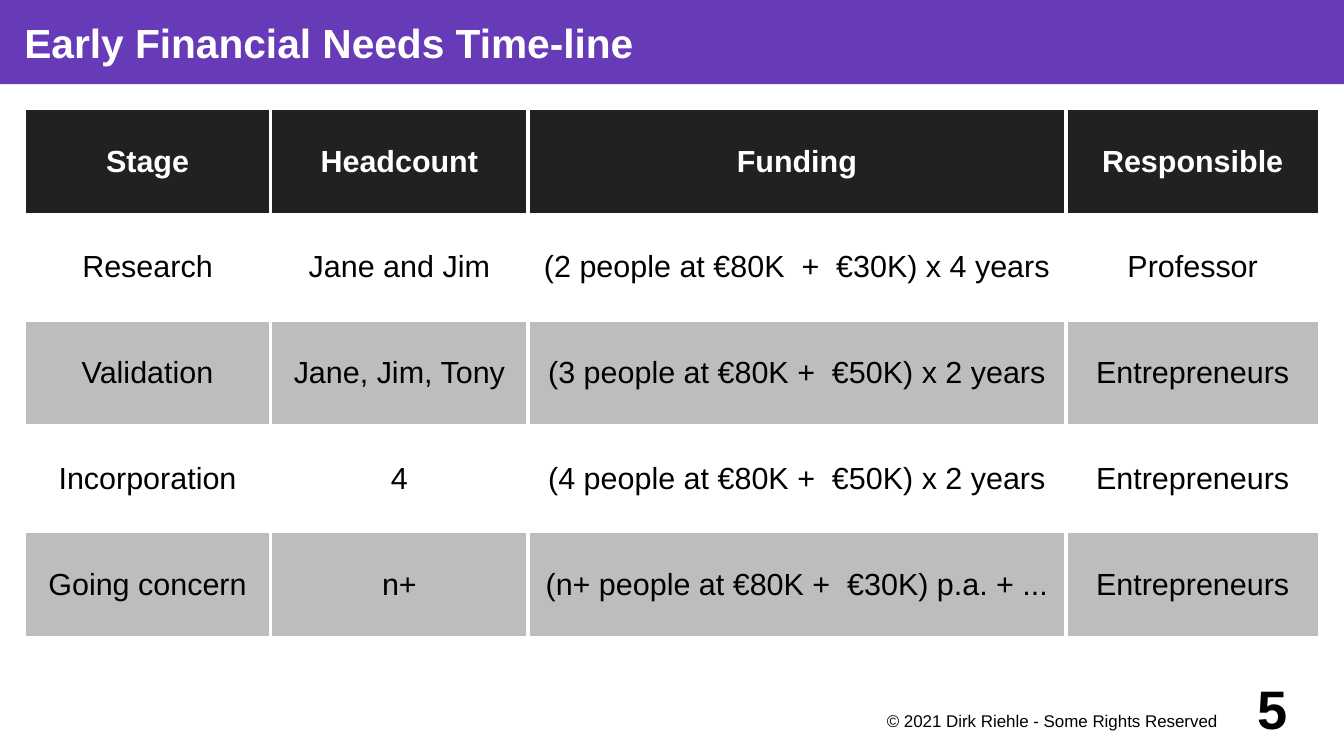
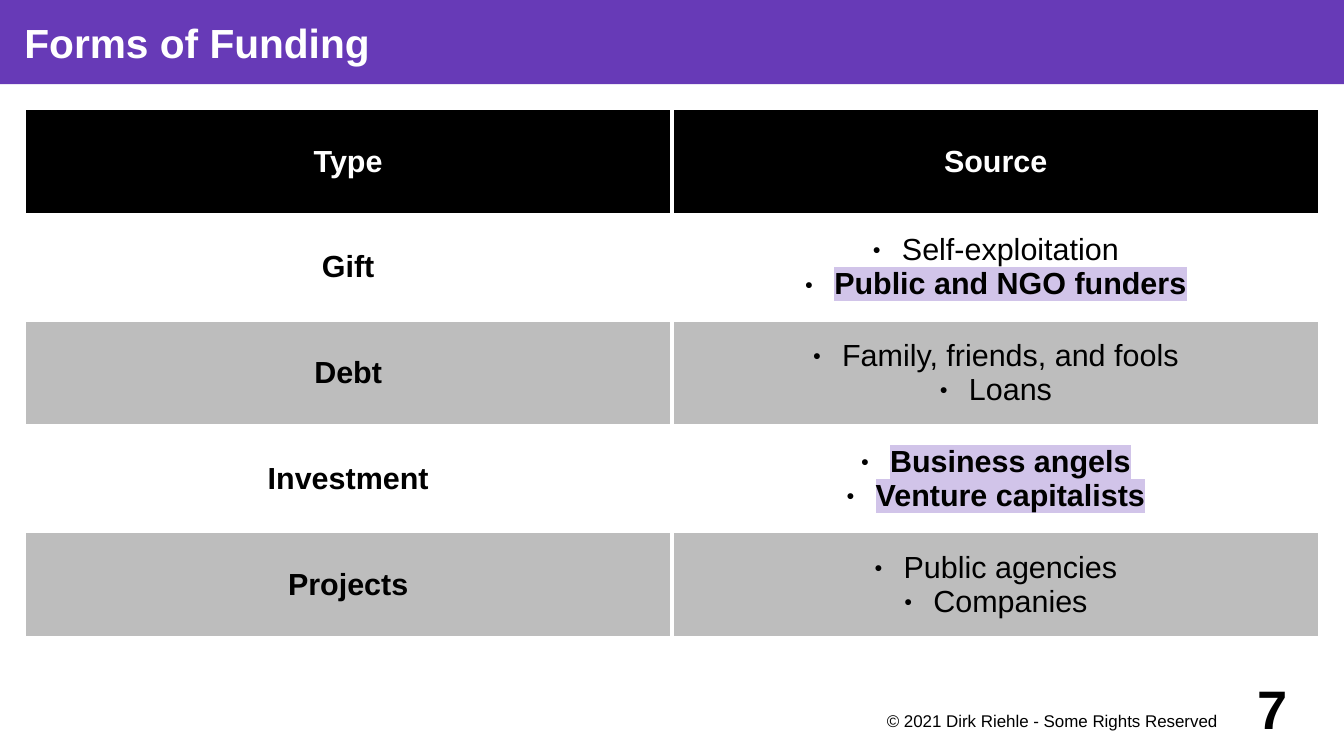
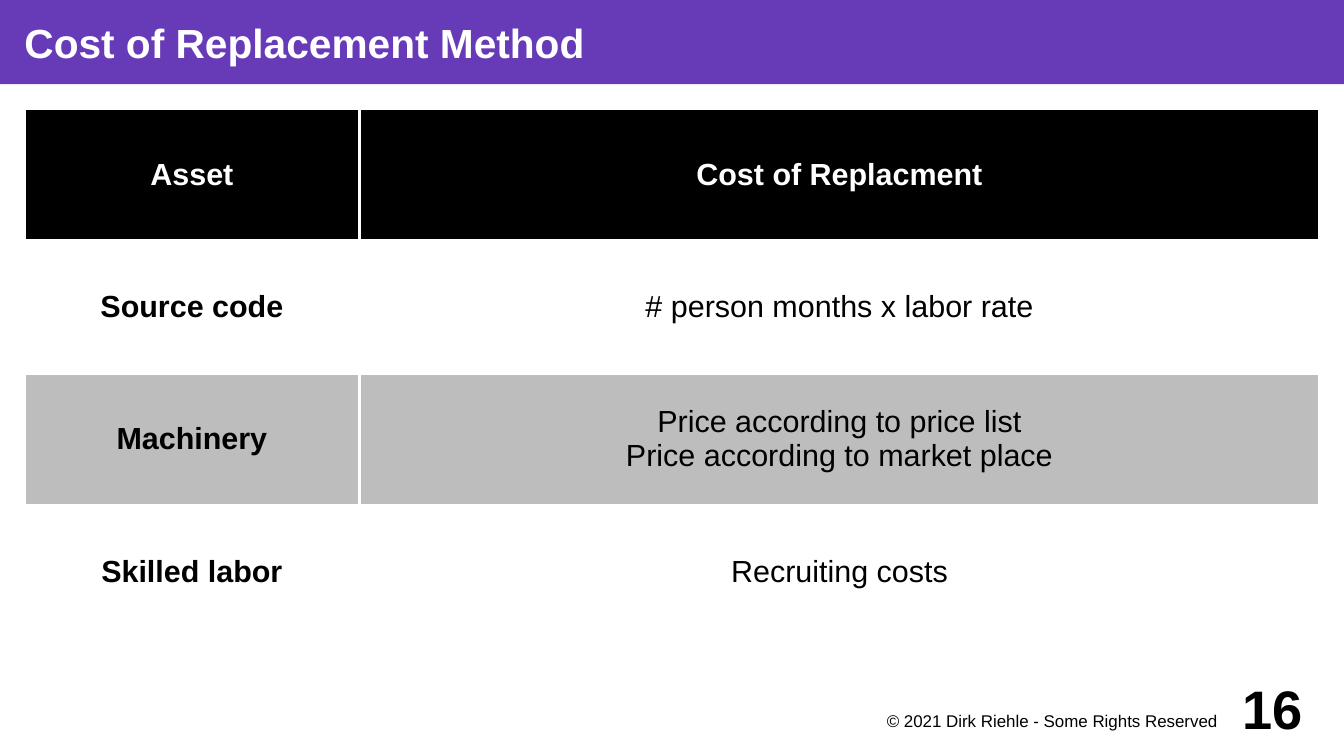
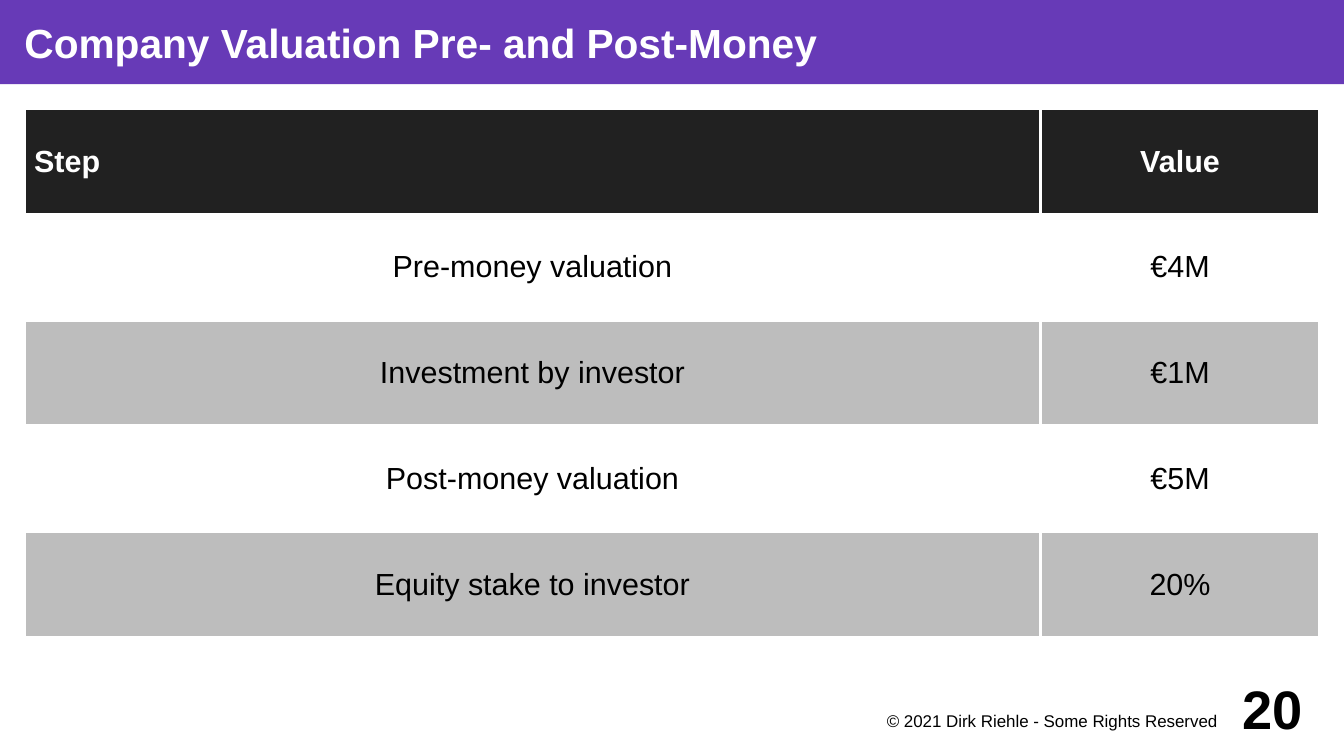
import dataclasses

import pptx
import pptx.dml.color
import pptx.enum.text
import pptx.oxml.ns
import pptx.util
from lxml import etree

Inches, Pt = pptx.util.Inches, pptx.util.Pt
RGBColor = pptx.dml.color.RGBColor
ALIGN, ANCHOR = pptx.enum.text.PP_ALIGN, pptx.enum.text.MSO_ANCHOR


@dataclasses.dataclass(frozen=True)
class Theme:
    font: str = "Arial"
    band: str = "673AB7"
    paper: str = "FFFFFF"
    ink: str = "000000"
    charcoal: str = "212121"
    stripe: str = "BDBDBD"
    marker: str = "D1C4E9"
    title_size: int = 24
    table_size: int = 18
    footer_size: int = 10
    number_size: int = 32
    border_width: float = 2.27


THEME = Theme()
WIDTH, HEIGHT = 11.02, 6.2
MARGIN = 0.2
BAND_HEIGHT = 0.69
TABLE_TOP = BAND_HEIGHT + MARGIN
TABLE_WIDTH = WIDTH - 2 * MARGIN
TABLE_HEIGHT = 0.7 * HEIGHT
BULLET_INDENT = 0.24

COPYRIGHT = "© 2021 Dirk Riehle - Some Rights Reserved"
HIGHLIGHTED = {"Public and NGO funders", "Business angels", "Venture capitalists"}

# A cell is one text or a list of paragraphs; columns are relative widths.
SLIDES = [
    {
        "number": 5,
        "title": "Early Financial Needs Time-line",
        "columns": (2.02, 2.11, 4.41, 2.08),
        "header_fill": THEME.charcoal,
        "rows": [
            ("Stage", "Headcount", "Funding", "Responsible"),
            ("Research", "Jane and Jim", "(2 people at €80K  +  €30K) x 4 years", "Professor"),
            ("Validation", "Jane, Jim, Tony", "(3 people at €80K +  €50K) x 2 years", "Entrepreneurs"),
            ("Incorporation", "4", "(4 people at €80K +  €50K) x 2 years", "Entrepreneurs"),
            ("Going concern", "n+", "(n+ people at €80K +  €30K) p.a. + ...", "Entrepreneurs"),
        ],
    },
    {
        "number": 7,
        "title": "Forms of Funding",
        "columns": (1, 1),
        "header_fill": THEME.ink,
        "bold_first_column": True,
        "bulleted_column": 1,
        "rows": [
            ("Type", "Source"),
            ("Gift", ["Self-exploitation", "Public and NGO funders"]),
            ("Debt", ["Family, friends, and fools", "Loans"]),
            ("Investment", ["Business angels", "Venture capitalists"]),
            ("Projects", ["Public agencies", "Companies"]),
        ],
    },
    {
        "number": 16,
        "title": "Cost of Replacement Method",
        "columns": (2.75, 7.88),
        "header_fill": THEME.ink,
        "bold_first_column": True,
        "rows": [
            ("Asset", "Cost of Replacment"),
            ("Source code", "# person months x labor rate"),
            ("Machinery", ["Price according to price list", "Price according to market place"]),
            ("Skilled labor", "Recruiting costs"),
        ],
    },
    {
        "number": 20,
        "title": "Company Valuation Pre- and Post-Money",
        "columns": (8.34, 2.29),
        "header_fill": THEME.charcoal,
        "left_header": "Step",
        "rows": [
            ("Step", "Value"),
            ("Pre-money valuation", "€4M"),
            ("Investment by investor", "€1M"),
            ("Post-money valuation", "€5M"),
            ("Equity stake to investor", "20%"),
        ],
    },
]


def set_attributes(target, **values):
    for name, value in values.items():
        setattr(target, name, value)


def add_element(parent, tag, **attributes):
    return etree.SubElement(parent, pptx.oxml.ns.qn(tag), attributes)


def set_fill(target, color):
    target.fill.solid()
    target.fill.fore_color.rgb = RGBColor.from_string(color)


def write(paragraph, text, size, color=THEME.ink, bold=False, align=ALIGN.CENTER):
    paragraph.alignment = align
    run = paragraph.add_run()
    run.text = text
    set_attributes(run.font, name=THEME.font, size=Pt(size), bold=bold)
    run.font.color.rgb = RGBColor.from_string(color)
    return run


def set_frame(frame, anchor, left=0, top=0, right=0):
    set_attributes(
        frame, word_wrap=True, auto_size=pptx.enum.text.MSO_AUTO_SIZE.NONE,
        vertical_anchor=anchor, margin_left=Inches(left), margin_top=Inches(top),
        margin_right=Inches(right), margin_bottom=0,
    )


def add_title(slide, text):
    title = slide.shapes.title
    set_attributes(title, left=0, top=0, width=Inches(WIDTH), height=Inches(BAND_HEIGHT))
    set_fill(title, THEME.band)
    set_frame(title.text_frame, ANCHOR.MIDDLE, left=MARGIN)
    write(title.text_frame.paragraphs[0], text, THEME.title_size, THEME.paper, True, ALIGN.LEFT)


def add_footer(slide, number):
    copyright_box = slide.shapes.add_textbox(*map(Inches, (7.09, 5.81, 3.15, 0.3)))
    set_frame(copyright_box.text_frame, ANCHOR.TOP, top=0.02, right=0.08)
    write(copyright_box.text_frame.paragraphs[0], COPYRIGHT, THEME.footer_size)
    number_box = slide.shapes.add_textbox(*map(Inches, (10.04, 5.51, 0.79, 0.59)))
    set_frame(number_box.text_frame, ANCHOR.MIDDLE)
    write(number_box.text_frame.paragraphs[0], str(number), THEME.number_size, bold=True)


def add_borders(cell):
    properties = cell._tc.get_or_add_tcPr()
    for position, side in enumerate(("a:lnL", "a:lnR", "a:lnT", "a:lnB")):
        line = add_element(properties, side, w=str(Pt(THEME.border_width)))
        add_element(add_element(line, "a:solidFill"), "a:srgbClr", val=THEME.paper)
        properties.insert(position, line)


def add_bullet(paragraph):
    properties = paragraph._p.get_or_add_pPr()
    indent = Inches(BULLET_INDENT)
    properties.set("marL", str(indent))
    properties.set("indent", str(-indent))
    add_element(add_element(properties, "a:buClr"), "a:srgbClr", val=THEME.ink)
    add_element(properties, "a:buSzPct", val="45000")
    add_element(properties, "a:buFont", typeface=THEME.font)
    add_element(properties, "a:buChar", char="●")


def highlight(run):
    """Mark the run; the schema wants the highlight right after the text fill."""
    properties = run._r.get_or_add_rPr()
    marker = add_element(properties, "a:highlight")
    add_element(marker, "a:srgbClr", val=THEME.marker)
    properties.find(pptx.oxml.ns.qn("a:solidFill")).addnext(marker)


def fill_cell(cell, content, fill, color, bold, align, bulleted):
    set_fill(cell, fill)
    add_borders(cell)
    set_attributes(
        cell, vertical_anchor=ANCHOR.MIDDLE, margin_left=Inches(0.08),
        margin_right=Inches(0.08), margin_top=Inches(0.05), margin_bottom=Inches(0.05),
    )
    frame = cell.text_frame
    for index, text in enumerate([content] if isinstance(content, str) else content):
        paragraph = frame.add_paragraph() if index else frame.paragraphs[0]
        if bulleted:
            add_bullet(paragraph)
        marked = text in HIGHLIGHTED
        run = write(paragraph, text, THEME.table_size, color, bold or marked, align)
        if marked:
            highlight(run)


def add_content_table(slide, content):
    rows, shares = content["rows"], content["columns"]
    area = map(Inches, (MARGIN, TABLE_TOP, TABLE_WIDTH, TABLE_HEIGHT))
    table = slide.shapes.add_table(len(rows), len(shares), *area).table
    set_attributes(table, first_row=False, horz_banding=False)
    for column, share in zip(table.columns, shares):
        column.width = Inches(TABLE_WIDTH * share / sum(shares))
    for row in table.rows:
        row.height = Inches(TABLE_HEIGHT / len(rows))

    for row_index, row in enumerate(rows):
        header = row_index == 0
        body_fill = THEME.paper if row_index % 2 else THEME.stripe
        for column_index, cell_content in enumerate(row):
            first_bold = column_index == 0 and content.get("bold_first_column", False)
            left = header and cell_content == content.get("left_header")
            fill_cell(
                table.cell(row_index, column_index),
                cell_content,
                fill=content["header_fill"] if header else body_fill,
                color=THEME.paper if header else THEME.ink,
                bold=header or first_bold,
                align=ALIGN.LEFT if left else ALIGN.CENTER,
                bulleted=not header and column_index == content.get("bulleted_column"),
            )


def main():
    presentation = pptx.Presentation()
    set_attributes(presentation, slide_width=Inches(WIDTH), slide_height=Inches(HEIGHT))
    title_only = presentation.slide_layouts[5]
    for content in SLIDES:
        slide = presentation.slides.add_slide(title_only)
        add_title(slide, content["title"])
        add_content_table(slide, content)
        add_footer(slide, content["number"])
    presentation.save("out.pptx")


if __name__ == "__main__":
    main()
